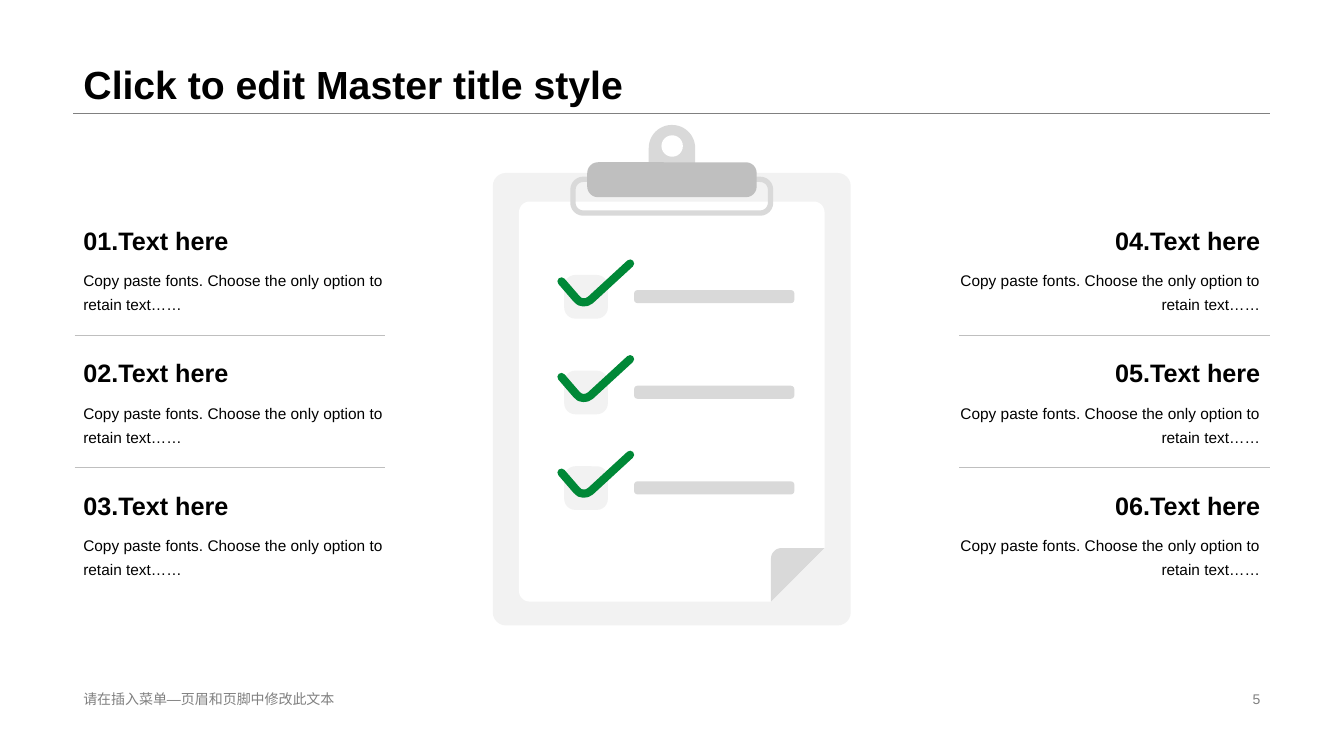
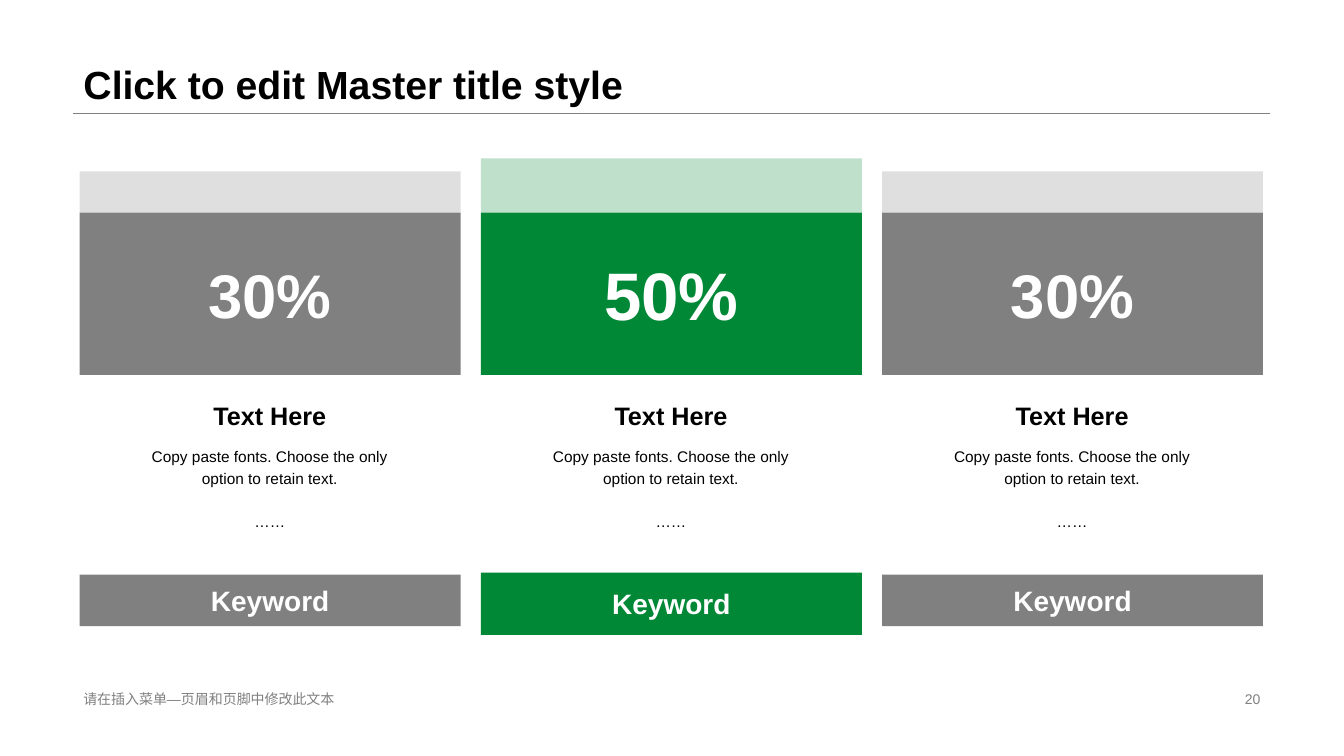
from math import cos, radians, sin

from lxml import etree
from pptx import Presentation
from pptx.dml.color import RGBColor
from pptx.enum.shapes import MSO_CONNECTOR as LINK, MSO_SHAPE as KIND
from pptx.enum.text import MSO_ANCHOR as ANCHOR, PP_ALIGN as ALIGN
from pptx.oxml.ns import qn
from pptx.util import Cm, Pt

BLACK = RGBColor(0x00, 0x00, 0x00)
WHITE = RGBColor(0xFF, 0xFF, 0xFF)
GREEN = RGBColor(0x00, 0x88, 0x37)
GREY = RGBColor(0x80, 0x80, 0x80)
MID = RGBColor(0xBF, 0xBF, 0xBF)
LIGHT = RGBColor(0xD9, 0xD9, 0xD9)
PALE = RGBColor(0xF2, 0xF2, 0xF2)

TITLE = {"size": Pt(28), "bold": True}
HEAD = {"size": Pt(18), "bold": True}
BODY = {"size": Pt(11)}
NOTE = {"size": Pt(10)}
KEY = {"size": Pt(20), "bold": True}


def write(shape, text, look, colour=BLACK, align=ALIGN.LEFT, anchor=ANCHOR.TOP, space=1.0):
    """Fill a shape with text, one paragraph a line, all in one look."""
    frame = shape.text_frame
    frame.word_wrap = True
    frame.vertical_anchor = anchor
    frame.text = text
    for para in frame.paragraphs:
        para.alignment = align
        para.line_spacing = space
        for run in para.runs:
            for name, value in {"name": "Arial", **look}.items():
                setattr(run.font, name, value)
            run.font.color.rgb = colour
            face = etree.SubElement(run.font._element, qn("a:ea"))
            face.set("typeface", "Arial")


def draw(page, kind, box, colour, round_by=0):
    """Add a plain filled shape; box and corner radius are in cm."""
    shape = page.shapes.add_shape(kind, *map(Cm, box))
    shape.shadow.inherit = False
    shape.fill.solid()
    shape.fill.fore_color.rgb = colour
    shape.line.fill.background()
    if round_by:
        shape.adjustments[0] = round_by / min(box[2:])
    return shape


deck = Presentation()
deck.slide_width, deck.slide_height = Cm(33.87), Cm(19.05)
layout = deck.slide_layouts[5]
place = layout.placeholders[0]
place.left, place.top, place.width, place.height = Cm(1.85), Cm(0), Cm(30.15), Cm(2.84)

# Shared title, rule and footer
pages, rules = [], []
for number in ("5", "20"):
    page = deck.slides.add_slide(layout)
    pages.append(page)
    write(page.shapes.title, "Click to edit Master title style", TITLE,
          anchor=ANCHOR.BOTTOM, space=0.9)
    rules.append((page, 1.85, 32, 2.85, GREY))
    for left, width, text, align in (
        (1.85, 11.5, "请在插入菜单—页眉和页脚中修改此文本", ALIGN.LEFT),
        (23.93, 8.08, number, ALIGN.RIGHT),
    ):
        box = page.shapes.add_textbox(Cm(left), Cm(17.32), Cm(width), Cm(0.58))
        write(box, text, NOTE, GREY, align, ANCHOR.MIDDLE)
check, cards = pages

# Clipboard: board, then sheet and folded corner
draw(check, KIND.ROUNDED_RECTANGLE, (12.42, 4.36, 9.02, 11.4), PALE, 0.33)
RADIUS = 0.27
# Each corner is x, y and the angle where its arc starts, None for a sharp one
for colour, corners in (
    (WHITE, ((13.35, 5.35, 180), (20.51, 5.35, 270), (20.78, 13.82, None),
             (19.43, 15.16, None), (13.35, 14.89, 90))),
    (LIGHT, ((19.7, 14.08, 180), (20.78, 13.81, None), (19.43, 15.16, None))),
):
    edge = []
    for x, y, start in corners:
        if start is None:
            edge.append((Cm(x), Cm(y)))
            continue
        for turn in range(start, start + 91, 10):
            edge.append((Cm(x + RADIUS * cos(radians(turn))),
                         Cm(y + RADIUS * sin(radians(turn)))))
    pen = check.shapes.build_freeform(*edge[0])
    pen.add_line_segments(edge[1:])
    paper = pen.convert_to_shape()
    paper.shadow.inherit = False
    paper.fill.solid()
    paper.fill.fore_color.rgb = colour
    paper.line.fill.background()

# Clip
wire = draw(check, KIND.ROUNDED_RECTANGLE, (14.44, 4.52, 4.98, 0.85), LIGHT, 0.26)
wire.fill.background()
wire.line.color.rgb = LIGHT
wire.line.width = Pt(3.8)
draw(check, KIND.ROUND_2_SAME_RECTANGLE, (16.35, 3.15, 1.17, 1.24), LIGHT, 0.58)
draw(check, KIND.OVAL, (16.67, 3.41, 0.54, 0.54), WHITE)
draw(check, KIND.ROUNDED_RECTANGLE, (14.8, 4.09, 4.27, 0.88), MID, 0.27)

# Ticked rows
TICK = ((14.15, 7.09), (14.53, 7.53), (14.61, 7.6), (14.7, 7.62),
        (14.79, 7.61), (14.88, 7.56), (15.88, 6.64))
for row in range(3):
    down = row * 2.41
    draw(check, KIND.ROUNDED_RECTANGLE, (14.22, 6.93 + down, 1.1, 1.1), PALE, 0.28)
    draw(check, KIND.ROUNDED_RECTANGLE, (15.98, 7.31 + down, 4.04, 0.33), LIGHT, 0.09)
    dots = [(Cm(x), Cm(y + down)) for x, y in TICK]
    pen = check.shapes.build_freeform(*dots[0])
    pen.add_line_segments(dots[1:], close=False)
    tick = pen.convert_to_shape()
    tick.shadow.inherit = False
    tick.fill.background()
    tick.line.color.rgb = GREEN
    tick.line.width = Pt(5.8)
    stroke = tick.element.spPr.find(qn("a:ln"))
    stroke.set("cap", "rnd")
    etree.SubElement(stroke, qn("a:round"))

# Numbered texts on both sides
for side, (left, start, end, align) in enumerate((
    (1.85, 1.88, 9.7, ALIGN.LEFT),
    (23.83, 24.18, 32, ALIGN.RIGHT),
)):
    for row in range(3):
        top = 5.46 + row * 3.34
        head = check.shapes.add_textbox(Cm(left), Cm(top), Cm(8.18), Cm(1.1))
        write(head, f"{side * 3 + row + 1:02}.Text here", HEAD,
              align=align, anchor=ANCHOR.BOTTOM, space=1.2)
        body = check.shapes.add_textbox(Cm(left), Cm(top + 1.11), Cm(8.18), Cm(1.5))
        write(body, "Copy paste fonts. Choose the only option to retain text……", BODY,
              align=align, space=1.3)
        if row < 2:
            rules.append((check, start, end, top + 2.98, MID))

# Percentage cards
for col, (share, size, colour, cap, foot, deep) in enumerate((
    ("30%", 44, GREY, 4.32, 14.48, 1.3),
    ("50%", 48, GREEN, 3.99, 14.43, 1.57),
    ("30%", 44, GREY, 4.32, 14.48, 1.3),
)):
    left = 2.01 + col * 10.11
    block = draw(cards, KIND.RECTANGLE, (left, 5.36, 9.6, 4.09), colour)
    write(block, share, {"size": Pt(size), "bold": True}, WHITE, ALIGN.CENTER, ANCHOR.MIDDLE)
    band = draw(cards, KIND.RECTANGLE, (left, cap, 9.6, 5.36 - cap), colour)
    tint = band.element.spPr.find(qn("a:solidFill"))[0]
    etree.SubElement(tint, qn("a:alpha")).set("val", "25000")
    label = draw(cards, KIND.RECTANGLE, (left, foot, 9.6, deep), colour)
    write(label, "Keyword", KEY, WHITE, ALIGN.CENTER, ANCHOR.MIDDLE)
    head = cards.shapes.add_textbox(Cm(left + 1.12), Cm(9.96), Cm(7.34), Cm(1.09))
    write(head, "Text Here", HEAD, align=ALIGN.CENTER)
    body = cards.shapes.add_textbox(Cm(left + 1.12), Cm(11.05), Cm(7.34), Cm(2.92))
    write(body, "Copy paste fonts. Choose the only option to retain text.\n……", BODY,
          align=ALIGN.CENTER, space=1.2)
    body.text_frame.paragraphs[1].space_before = Pt(15)

for page, start, end, top, colour in rules:
    rule = page.shapes.add_connector(LINK.STRAIGHT, Cm(start), Cm(top), Cm(end), Cm(top))
    rule.line.color.rgb = colour
    rule.line.width = Pt(0.25)
    etree.SubElement(rule.element.spPr, qn("a:effectLst"))

deck.save("out.pptx")
